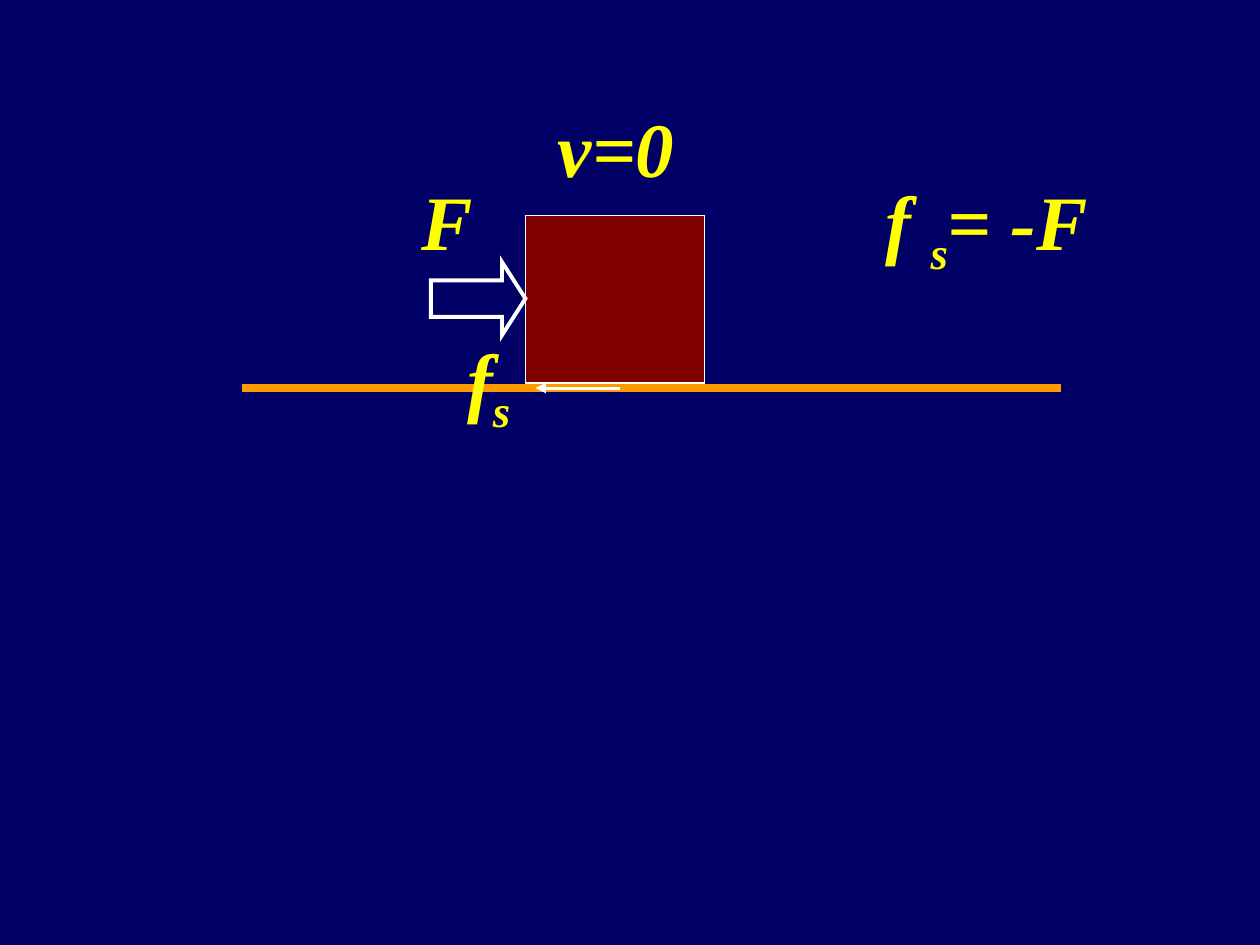
from dataclasses import dataclass

from lxml import etree
from pptx import Presentation
from pptx import util as u
from pptx.dml import color as c
from pptx.enum import shapes, text
from pptx.oxml import ns


@dataclass(frozen=True)
class Theme:
    background: str = "000066"
    ground: str = "FF9900"
    block: str = "800000"
    outline: str = "FFFFFF"
    symbol: str = "FFFF00"
    font: str = "Times New Roman"
    symbol_size: int = 44


class Diagram:
    def __init__(self, slide, theme):
        self.slide = slide
        self.theme = theme
        self.paint(slide.background.fill, theme.background)

    def paint(self, fill, color):
        fill.solid()
        fill.fore_color.rgb = c.RGBColor.from_string(color)

    def group(self):
        return self.slide.shapes.add_group_shape().shapes

    def stroke(self, line, color, width):
        self.paint(line.fill, color)
        line.width = u.Pt(width)

    def shape(self, kind, box, width, fill=None):
        body = self.slide.shapes.add_shape(kind, *map(u.Inches, box))
        body.shadow.inherit = False
        if fill:
            self.paint(body.fill, fill)
        else:
            body.fill.background()
        self.stroke(body.line, self.theme.outline, width)
        outline = body._element.spPr.find(ns.qn("a:ln"))
        etree.SubElement(outline, ns.qn("a:miter"), lim="800000")
        return body

    def line(self, start, end, color, width, arrow=False, parent=None):
        parent = parent or self.slide.shapes
        segment = parent.add_connector(
            shapes.MSO_CONNECTOR.STRAIGHT, *map(u.Inches, (*start, *end))
        )
        self.stroke(segment.line, color, width)
        properties = segment._element.spPr
        if arrow:
            outline = properties.find(ns.qn("a:ln"))
            etree.SubElement(outline, ns.qn("a:tailEnd"), type="triangle")
        etree.SubElement(properties, ns.qn("a:effectLst"))

    def symbol(self, box, pieces, wrap=False, parent=None):
        parent = parent or self.slide.shapes
        frame = parent.add_textbox(*map(u.Inches, box)).text_frame
        frame.word_wrap = wrap
        frame.auto_size = text.MSO_AUTO_SIZE.SHAPE_TO_FIT_TEXT
        for content, baseline in pieces:
            run = frame.paragraphs[0].add_run()
            run.text = content
            font = run.font
            font.name = self.theme.font
            font.size = u.Pt(self.theme.symbol_size)
            font.bold = font.italic = True
            self.paint(font.fill, self.theme.symbol)
            if baseline:
                run._r.get_or_add_rPr().set("baseline", str(baseline * 1000))


def main():
    deck = Presentation()
    deck.slide_width, deck.slide_height = u.Inches(10), u.Inches(7.5)
    theme = Theme()
    diagram = Diagram(deck.slides.add_slide(deck.slide_layouts[6]), theme)

    ground_y = 3.08
    subscript = ("s", -25)
    diagram.line((1.92, ground_y), (8.42, ground_y), theme.ground, 4.25)
    diagram.shape(
        shapes.MSO_SHAPE.RECTANGLE, (4.17, 1.71, 1.42, 1.33), 0.75, theme.block
    )
    push = diagram.shape(
        shapes.MSO_SHAPE.RIGHT_ARROW, (3.42, 2.08, 0.75, 0.58), 2.25
    )
    push.adjustments[1] = 0.32
    diagram.symbol((3.25, 1.33, 0.62, 0.84), [("F", 0)])

    friction = diagram.group()
    diagram.line(
        (4.92, ground_y), (4.25, ground_y), theme.outline, 1.75, True, friction
    )
    diagram.symbol((3.61, 2.58, 0.72, 0.94), [("f", 0), subscript], True, friction)

    diagram.symbol((6.93, 1.33, 1.81, 0.94), [("f ", 0), subscript, ("= -F", 0)])
    diagram.symbol((4.33, 0.75, 1.15, 0.84), [("v=0", 0)])
    deck.save("out.pptx")


if __name__ == "__main__":
    main()
